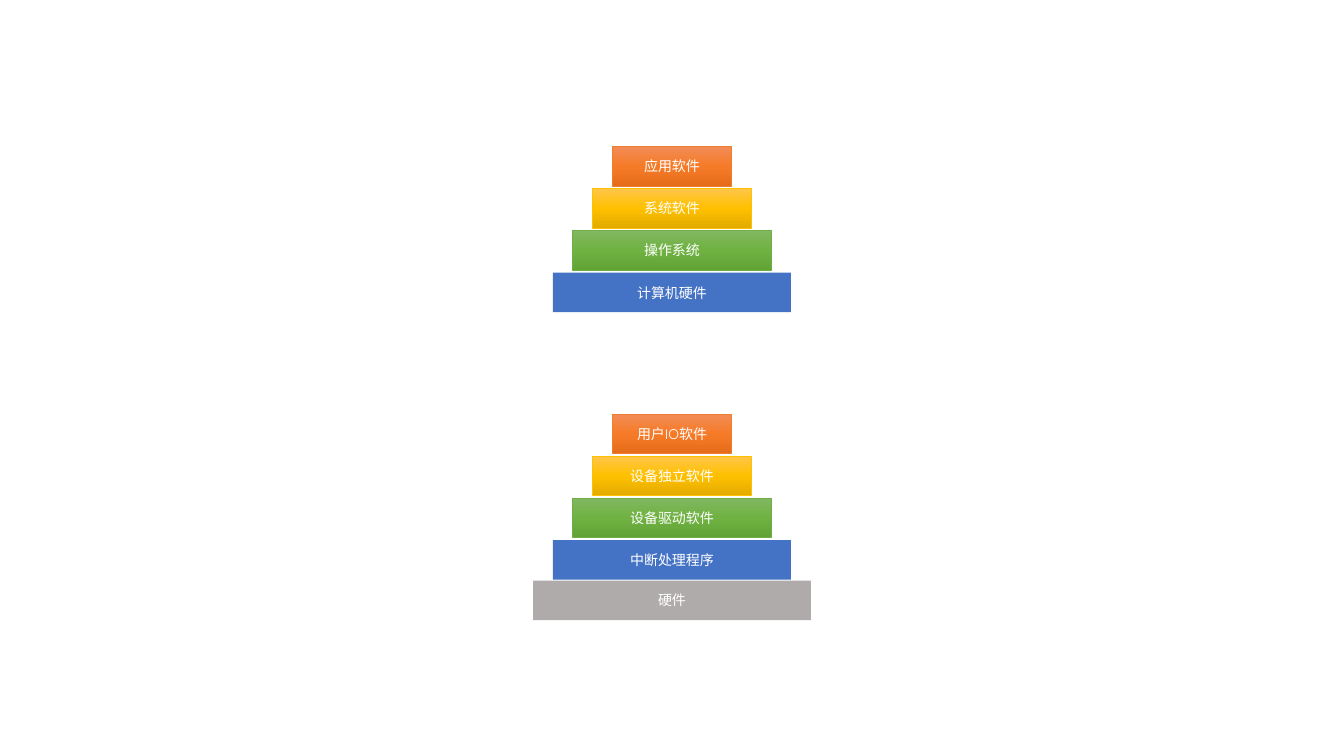
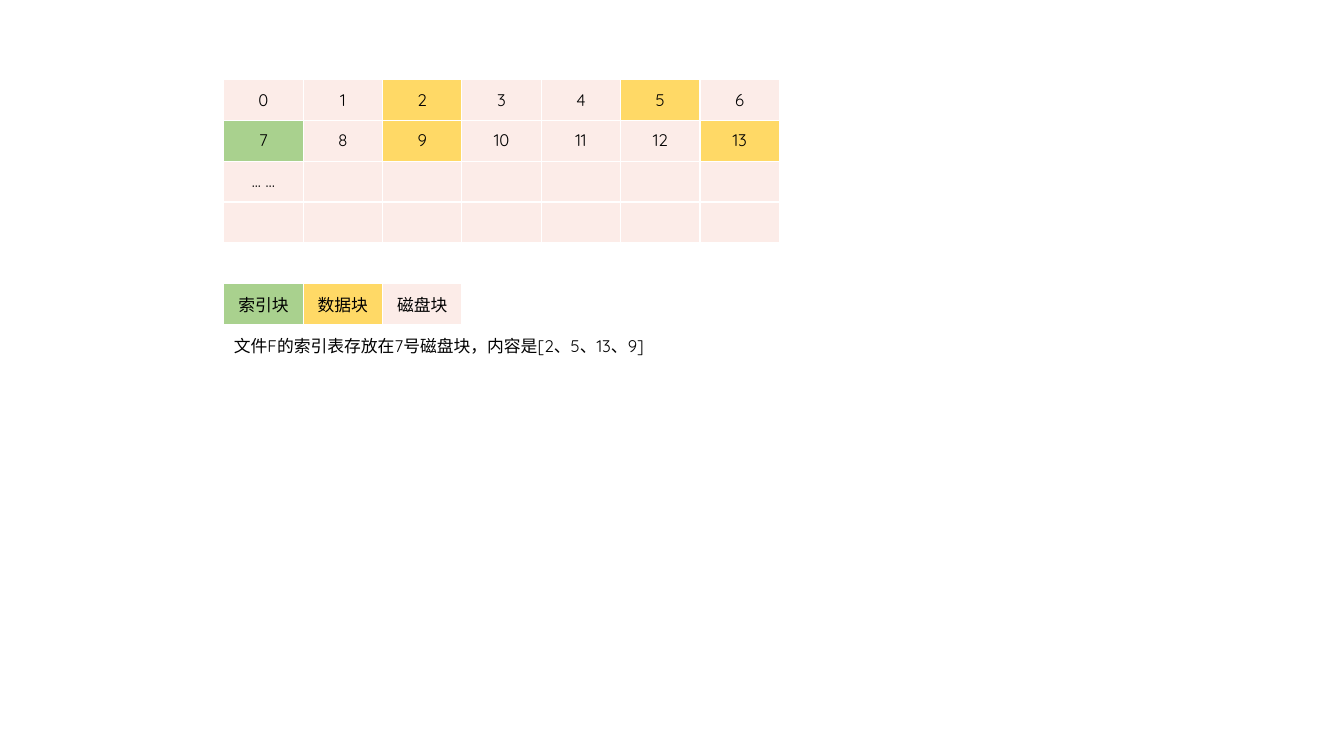
"""Build two slides: software layer pyramids and a disk block index table."""
from copy import deepcopy

from pptx import Presentation
from pptx.dml.color import RGBColor
from pptx.enum.shapes import MSO_SHAPE
from pptx.enum.text import MSO_ANCHOR, PP_ALIGN
from pptx.oxml.ns import qn
from pptx.util import Cm, Pt

RECTANGLE = MSO_SHAPE.RECTANGLE
MIDDLE = MSO_ANCHOR.MIDDLE
CENTER, LEFT = PP_ALIGN.CENTER, PP_ALIGN.LEFT

FONT = "Quicksand"
SLIDE_WIDTH, SLIDE_HEIGHT = 33.87, 19.05
COLORS = {
    "white": "FFFFFF", "black": "000000",
    "blue": "4472C4", "gray": "AFABAB",
    "orange": "ED7D31", "gold": "FFC000", "green": "70AD47",
    "index": "A9D18E", "data": "FFD966", "disk": "FCECE8",
}
GRADIENTS = {
    "orange": ("F18C57", "F67B28", "E56C19"),
    "gold": ("FFC64B", "FFC000", "E3AB00"),
    "green": ("81B861", "6FB242", "62A336"),
}

BAR_COLORS = ("orange", "gold", "green", "blue", "gray")
BAR_GAPS = (0, 0.06, 0.06, 0.06, 0.02)
BAR_HEIGHT, TOP_BAR_WIDTH, WIDTH_STEP = 1, 3, 1
PYRAMIDS = [
    (3.69, ["应用软件", "系统软件", "操作系统", "计算机硬件"]),
    (10.43, ["用户IO软件", "设备独立软件", "设备驱动软件", "中断处理程序", "硬件"]),
]

COLUMNS, COLUMN_WIDTH, ROW_HEIGHT = 7, 2, 1.03
TABLE_LEFT, TABLE_TOP = 5.64, 2
INDEX_BLOCK, DATA_BLOCKS = 7, (2, 5, 13, 9)
BLOCK_ROWS = [
    [str(number) for number in range(7)],
    [str(number) for number in range(7, 14)],
    ["... …"] + [""] * 6,
    [""] * 7,
]
LEGEND = [("索引块", "index"), ("数据块", "data"), ("磁盘块", "disk")]
CAPTION = "文件F的索引表存放在7号磁盘块，内容是[2、5、13、9]"


def rgb(value):
    return RGBColor.from_string(value)


def style_paragraph(para, size, color, align=CENTER):
    para.alignment = align
    para.font.name = FONT
    para.font.size = Pt(size)
    para.font.color.rgb = rgb(COLORS[color])


def fill_gradient(shape, values):
    shape.fill.gradient()
    shape.fill.gradient_angle = 270
    stop_list = shape.element.spPr.find(qn("a:gradFill")).find(qn("a:gsLst"))
    stop_list.append(deepcopy(stop_list[0]))
    for number, (stop, value) in enumerate(zip(shape.fill.gradient_stops, values)):
        stop.position = number / 2
        stop.color.rgb = rgb(value)


def add_bar(group, label, color, top, width):
    bar = group.shapes.add_shape(
        RECTANGLE, Cm((SLIDE_WIDTH - width) / 2), Cm(top), Cm(width), Cm(BAR_HEIGHT))
    bar.shadow.inherit = False
    if color in GRADIENTS:
        fill_gradient(bar, GRADIENTS[color])
        bar.line.color.rgb = rgb(COLORS[color])
        bar.line.width = Pt(0.5)
    else:
        bar.fill.solid()
        bar.fill.fore_color.rgb = rgb(COLORS[color])
        bar.line.fill.background()
    bar.text_frame.vertical_anchor = MIDDLE
    bar.text_frame.text = label
    style_paragraph(bar.text_frame.paragraphs[0], 10, "white")


def add_pyramid(page, top, labels):
    group = page.shapes.add_group_shape()
    for level, (label, color, gap) in enumerate(zip(labels, BAR_COLORS, BAR_GAPS)):
        top += gap
        add_bar(group, label, color, top, TOP_BAR_WIDTH + level * WIDTH_STEP)
        top += BAR_HEIGHT


def block_kind(text):
    if text == str(INDEX_BLOCK):
        return "index"
    return "data" if text in map(str, DATA_BLOCKS) else "disk"


def table_rows():
    rows = [[(text, block_kind(text)) for text in row] for row in BLOCK_ROWS]
    blank = ("", None)
    rows.append([blank] * COLUMNS)
    rows.append(LEGEND + [blank] * (COLUMNS - len(LEGEND)))
    rows.append([(CAPTION, None)] + [blank] * (COLUMNS - 1))
    return rows


def add_block_table(page):
    rows = table_rows()
    table = page.shapes.add_table(
        len(rows), COLUMNS, Cm(TABLE_LEFT), Cm(TABLE_TOP),
        Cm(COLUMNS * COLUMN_WIDTH), Cm(len(rows) * ROW_HEIGHT)).table
    table.first_row = False
    table.horz_banding = False
    caption_row = len(rows) - 1
    table.cell(caption_row, 0).merge(table.cell(caption_row, COLUMNS - 1))
    for row_number, row in enumerate(rows):
        for column_number, (text, kind) in enumerate(row):
            cell = table.cell(row_number, column_number)
            cell.vertical_anchor = MIDDLE
            cell.text = text
            align = LEFT if row_number == caption_row else CENTER
            style_paragraph(cell.text_frame.paragraphs[0], 12, "black", align)
            if kind:
                cell.fill.solid()
                cell.fill.fore_color.rgb = rgb(COLORS[kind])
            else:
                cell.fill.background()


def main():
    deck = Presentation()
    deck.slide_width, deck.slide_height = Cm(SLIDE_WIDTH), Cm(SLIDE_HEIGHT)
    blank_layout = deck.slide_layouts[6]
    layers_page = deck.slides.add_slide(blank_layout)
    for top, labels in PYRAMIDS:
        add_pyramid(layers_page, top, labels)
    add_block_table(deck.slides.add_slide(blank_layout))
    deck.save("out.pptx")


if __name__ == "__main__":
    main()
